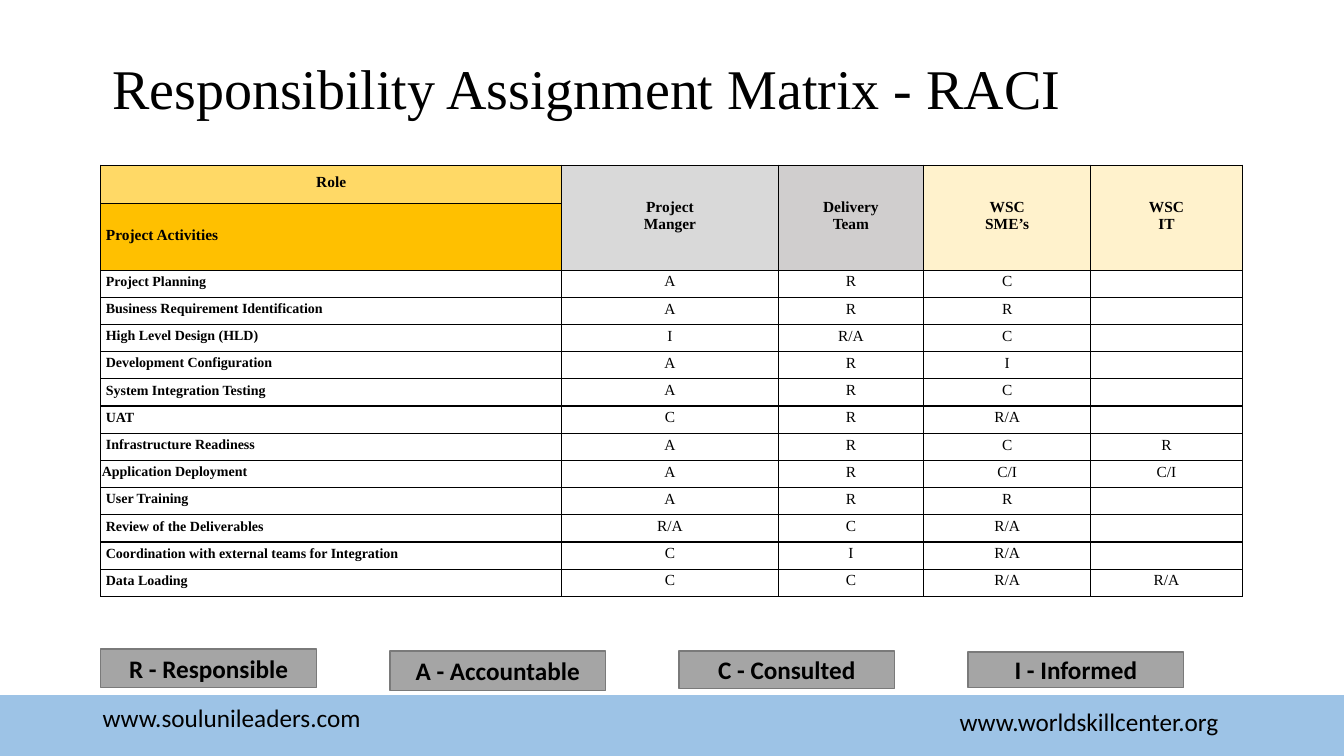
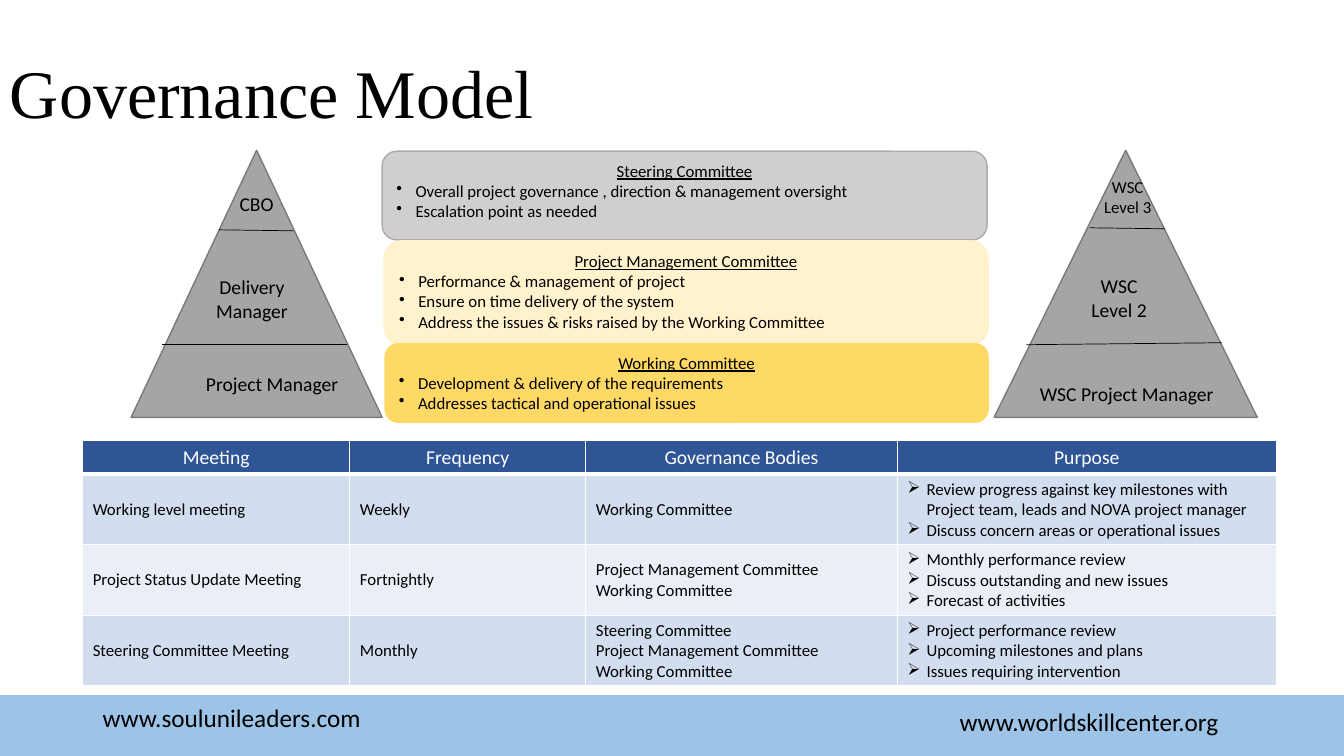
from dataclasses import dataclass, replace
from typing import Any, NamedTuple

from lxml.etree import SubElement
from pptx import Presentation
from pptx.dml.color import RGBColor
from pptx.enum.shapes import MSO_CONNECTOR as Connector, MSO_SHAPE as Preset
from pptx.enum.text import MSO_ANCHOR as Anchor, PP_ALIGN as Align
from pptx.oxml.ns import qn
from pptx.util import Inches, Pt

BLACK = RGBColor(0x00, 0x00, 0x00)
WHITE = RGBColor(0xFF, 0xFF, 0xFF)
BAND_BLUE = RGBColor(0x9D, 0xC3, 0xE6)
HEADER_BLUE = RGBColor(0x2F, 0x55, 0x97)
ROW_BLUE = RGBColor(0xD2, 0xDE, 0xEF)
ROW_PALE = RGBColor(0xEA, 0xEF, 0xF7)
GRAY = RGBColor(0xA5, 0xA5, 0xA5)
GRAY_LINE = RGBColor(0x7A, 0x7A, 0x7A)
SILVER = RGBColor(0xD9, 0xD9, 0xD9)
WARM_GRAY = RGBColor(0xD0, 0xCE, 0xCE)
WARM_GRAY_LINE = RGBColor(0xAF, 0xAB, 0xAB)
CREAM = RGBColor(0xFF, 0xF2, 0xCC)
YELLOW = RGBColor(0xFF, 0xD9, 0x66)
AMBER = RGBColor(0xFF, 0xC0, 0x00)

SANS = "Calibri"
SERIF = "Times New Roman"
BULLET_INDENT = Inches(0.19)
TABLE_MARGINS = {"margin_left": 0.01, "margin_top": 0.01, "margin_right": 0.01, "margin_bottom": 0.05}


class Box(NamedTuple):
    left: float
    top: float
    width: float
    height: float

    def lengths(self) -> list[int]:
        return [Inches(value) for value in self]


@dataclass(frozen=True)
class TextStyle:
    size: float
    name: str = SANS
    color: RGBColor = BLACK
    bold: bool = False
    underline: bool = False
    align: Align = Align.LEFT
    bullet: str = ""
    spacing: float = 1.0

    def font_values(self) -> dict[str, Any]:
        return {"size": Pt(self.size), "name": self.name, "bold": self.bold, "underline": self.underline}


class Label(NamedTuple):
    box: Box
    lines: tuple[str, ...]
    size: float = 14


class Committee(NamedTuple):
    box: Box
    name: str
    duties: tuple[str, ...]
    fill: RGBColor
    line: RGBColor


class Divider(NamedTuple):
    x1: float
    y1: float
    x2: float
    y2: float


class Pyramid(NamedTuple):
    box: Box
    labels: tuple[Label, ...]
    dividers: tuple[Divider, ...]


FOOTER_STYLE = TextStyle(18)
LEGEND_STYLE = TextStyle(18, bold=True, align=Align.CENTER)
RACI_HEADER = TextStyle(11, SERIF, bold=True, align=Align.CENTER)
RACI_CODE = replace(RACI_HEADER, bold=False)
RACI_ACTIVITY = TextStyle(10, SERIF, bold=True)
BODY = TextStyle(12)
COMMITTEE_NAME = replace(BODY, underline=True, align=Align.CENTER)
MEETING_HEADER = TextStyle(14, color=WHITE, align=Align.CENTER)

FOOTERS = [
    Label(Box(0.92, 6.92, 3, 0.4), ("www.soulunileaders.com",)),
    Label(Box(9.42, 6.96, 3, 0.4), ("www.worldskillcenter.org",)),
]

ROLES = [
    (("Project", "Manger"), SILVER),
    (("Delivery", "Team"), WARM_GRAY),
    (("WSC", "SME’s"), CREAM),
    (("WSC", "IT"), CREAM),
]
ACTIVITIES = [
    ("Project Planning", "A", "R", "C", ""),
    ("Business Requirement Identification", "A", "R", "R", ""),
    ("High Level Design (HLD)", "I", "R/A", "C", ""),
    ("Development Configuration", "A", "R", "I", ""),
    ("System Integration Testing", "A", "R", "C", ""),
    ("UAT", "C", "R", "R/A", ""),
    ("Infrastructure Readiness", "A", "R", "C", "R"),
    ("Application Deployment", "A", "R", "C/I", "C/I"),
    ("User Training", "A", "R", "R", ""),
    ("Review of the Deliverables", "R/A", "C", "R/A", ""),
    ("Coordination with external teams for Integration", "C", "I", "R/A", ""),
    ("Data Loading", "C", "C", "R/A", "R/A"),
]
UNINDENTED_ACTIVITY = "Application Deployment"
LEGEND = [
    ("R - Responsible", 6.44, 0.38),
    ("A - Accountable", 6.46, 0.39),
    ("C - Consulted", 6.46, 0.37),
    ("I - Informed", 6.47, 0.35),
]

COMMITTEES = [
    Committee(Box(3.79, 1.5, 6, 0.88), "Steering Committee",
              ("Overall project governance , direction & management oversight",
               "Escalation point as needed"), WARM_GRAY, WARM_GRAY_LINE),
    Committee(Box(3.81, 2.39, 5.99, 1.03), "Project Management Committee",
              ("Performance & management of project", "Ensure on time delivery of the system",
               "Address the issues & risks raised by the Working Committee"), CREAM, CREAM),
    Committee(Box(3.82, 3.41, 5.98, 0.78), "Working Committee",
              ("Development & delivery of the requirements",
               "Addresses tactical and operational issues"), YELLOW, YELLOW),
]
PYRAMIDS = [
    Pyramid(Box(1.3, 1.49, 2.49, 2.65),
            (Label(Box(1.75, 3.64, 1.9, 0.34), ("Project Manager",)),
             Label(Box(1.55, 2.68, 1.9, 0.57), ("Delivery", "Manager")),
             Label(Box(2.04, 1.86, 1.01, 0.34), ("CBO",))),
            (Divider(2.17, 2.28, 2.91, 2.29), Divider(1.61, 3.42, 3.44, 3.42))),
    Pyramid(Box(9.86, 1.49, 2.61, 2.65),
            (Label(Box(10.15, 3.74, 2.05, 0.34), ("WSC Project Manager",)),
             Label(Box(10.15, 2.67, 1.9, 0.57), ("WSC", "Level 2")),
             Label(Box(10.36, 1.7, 1.65, 0.5), ("WSC", "Level 3"), 12)),
            (Divider(10.81, 2.26, 11.55, 2.27), Divider(10.18, 3.42, 12.12, 3.4))),
]
MEETING_COLUMNS = ("Meeting", "Frequency", "Governance Bodies", "Purpose")
MEETINGS = [
    (("Working level meeting",), ("Weekly",), ("Working Committee",),
     ("Review progress against key milestones with Project team, leads and NOVA project manager",
      "Discuss concern areas or operational issues")),
    (("Project Status Update Meeting",), ("Fortnightly",),
     ("Project Management Committee", "Working Committee"),
     ("Monthly performance review", "Discuss outstanding and new issues", "Forecast of activities")),
    (("Steering Committee Meeting",), ("Monthly",),
     ("Steering Committee", "Project Management Committee", "Working Committee"),
     ("Project performance review", "Upcoming milestones and plans", "Issues requiring intervention")),
]


def set_values(target: Any, values: dict[str, Any]) -> None:
    for name, value in values.items():
        setattr(target, name, value)


def add_bullet(paragraph: Any, character: str) -> None:
    properties = paragraph._p.get_or_add_pPr()
    properties.set("marL", str(BULLET_INDENT))
    properties.set("indent", str(-BULLET_INDENT))
    SubElement(properties, qn("a:buChar"), char=character)


def write_lines(frame: Any, lines: list[tuple[str, TextStyle]]) -> None:
    for index, (text, style) in enumerate(lines):
        paragraph = frame.add_paragraph() if index else frame.paragraphs[0]
        set_values(paragraph, {"alignment": style.align, "line_spacing": style.spacing})
        if style.bullet:
            add_bullet(paragraph, style.bullet)
        if text:
            run = paragraph.add_run()
            run.text = text
            set_values(run.font, style.font_values())
            run.font.color.rgb = style.color
        else:
            SubElement(paragraph._p, qn("a:endParaRPr"), sz=str(style.size * 100))


def add_text(slide: Any, box: Box, lines: tuple[str, ...], style: TextStyle, anchor: Anchor = Anchor.TOP) -> None:
    frame = slide.shapes.add_textbox(*box.lengths()).text_frame
    set_values(frame, {"word_wrap": True, "vertical_anchor": anchor})
    write_lines(frame, [(text, style) for text in lines])


def add_panel(slide: Any, preset: Preset, box: Box, fill: RGBColor, line: RGBColor) -> Any:
    shape = slide.shapes.add_shape(preset, *box.lengths())
    shape.shadow.inherit = False
    shape.fill.solid()
    shape.fill.fore_color.rgb = fill
    shape.line.color.rgb = line
    shape.line.width = Pt(1)
    return shape


def add_divider(slide: Any, divider: Divider) -> None:
    connector = slide.shapes.add_connector(Connector.STRAIGHT, *[Inches(value) for value in divider])
    connector.line.color.rgb = BLACK
    connector.line.width = Pt(0.5)
    SubElement(connector._element.spPr, qn("a:effectLst"))


def add_grid(slide: Any, left: float, top: float, widths: list[float], heights: list[float]) -> Any:
    """Add a plain table with the given column widths and row heights."""
    box = Box(left, top, sum(widths), sum(heights))
    table = slide.shapes.add_table(len(heights), len(widths), *box.lengths()).table
    set_values(table, {"first_row": False, "horz_banding": False})
    for column, width in zip(table.columns, widths):
        column.width = Inches(width)
    for row, height in zip(table.rows, heights):
        row.height = Inches(height)
    return table


def format_cell(cell: Any, border: RGBColor, fill: RGBColor | None = None, top: int = 1, bottom: int = 1) -> None:
    properties = cell._tc.get_or_add_tcPr()
    for side, width in {"L": 1, "R": 1, "T": top, "B": bottom}.items():
        edge = SubElement(properties, qn(f"a:ln{side}"), w=str(Pt(width)))
        SubElement(SubElement(edge, qn("a:solidFill")), qn("a:srgbClr"), val=str(border))
    if fill is None:
        cell.fill.background()
    else:
        cell.fill.solid()
        cell.fill.fore_color.rgb = fill


def new_slide(presentation: Any, title: str, box: Box, style: TextStyle) -> Any:
    """Add a slide with the shared footer band and a title."""
    slide = presentation.slides.add_slide(presentation.slide_layouts[6])
    add_panel(slide, Preset.RECTANGLE, Box(-0.01, 6.9, 13.34, 0.6), BAND_BLUE, BAND_BLUE)
    for footer in FOOTERS:
        add_text(slide, footer.box, footer.lines, FOOTER_STYLE, Anchor.MIDDLE)
    add_text(slide, box, (title,), replace(style, name=SERIF, spacing=0.9), Anchor.BOTTOM)
    return slide


def add_raci_table(slide: Any) -> None:
    table = add_grid(slide, 1, 1.64, [4.57, 2.15, 1.44, 1.66, 1.5], [0.38, 0.66] + [0.27] * len(ACTIVITIES))
    role_cells = [(lines, RACI_HEADER, fill) for lines, fill in ROLES]
    rows = [
        [(("Role",), RACI_HEADER, YELLOW)] + role_cells,
        [(("Project Activities",), replace(RACI_HEADER, align=Align.LEFT), AMBER)]
        + [((), RACI_HEADER, fill) for _, fill in ROLES],
    ]
    for activity, *codes in ACTIVITIES:
        rows.append([((activity,), RACI_ACTIVITY, None)] + [((code,), RACI_CODE, None) for code in codes])
    for row_index, row in enumerate(rows):
        for column_index, (lines, style, fill) in enumerate(row):
            cell = table.cell(row_index, column_index)
            set_values(cell, {name: Inches(value) for name, value in TABLE_MARGINS.items()})
            cell.vertical_anchor = Anchor.MIDDLE
            if style.align == Align.LEFT and UNINDENTED_ACTIVITY not in lines:
                cell.margin_left = Inches(0.05)
            format_cell(cell, BLACK, fill)
            write_lines(cell.text_frame, [(text, style) for text in lines])
    for column_index in range(1, len(ROLES) + 1):
        table.cell(0, column_index).merge(table.cell(1, column_index))


def add_meeting_table(slide: Any) -> None:
    table = add_grid(slide, 0.82, 4.37, [2.65, 2.34, 3.09, 3.76], [0.33] + [0.7] * len(MEETINGS))
    for column_index, heading in enumerate(MEETING_COLUMNS):
        cell = table.cell(0, column_index)
        format_cell(cell, WHITE, HEADER_BLUE, bottom=3)
        write_lines(cell.text_frame, [(heading, MEETING_HEADER)])
        is_purpose = heading == "Purpose"
        style = replace(BODY, bullet="➢" if is_purpose else "")
        for row_index, meeting in enumerate(MEETINGS, 1):
            cell = table.cell(row_index, column_index)
            cell.vertical_anchor = Anchor.TOP if is_purpose else Anchor.MIDDLE
            format_cell(cell, WHITE, ROW_BLUE if row_index % 2 else ROW_PALE, top=3 if row_index == 1 else 1)
            write_lines(cell.text_frame, [(text, style) for text in meeting[column_index]])


def build_raci_slide(presentation: Any) -> None:
    slide = new_slide(presentation, "Responsibility Assignment Matrix - RACI",
                      Box(0.01, 0.35, 11.61, 0.91), TextStyle(40, align=Align.CENTER))
    add_raci_table(slide)
    for index, (text, top, height) in enumerate(LEGEND):
        box = Box(1 + index * 2.867, top, 2.14, height)
        shape = add_panel(slide, Preset.RECTANGLE, box, GRAY, GRAY_LINE)
        shape.text_frame.vertical_anchor = Anchor.MIDDLE
        write_lines(shape.text_frame, [(text, LEGEND_STYLE)])


def build_governance_slide(presentation: Any) -> None:
    slide = new_slide(presentation, "Governance Model", Box(0, 0.53, 13.33, 0.84), TextStyle(48.6))
    for committee in COMMITTEES:
        shape = add_panel(slide, Preset.ROUNDED_RECTANGLE, committee.box, committee.fill, committee.line)
        set_values(shape.text_frame, {"word_wrap": True, "vertical_anchor": Anchor.TOP})
        duties = [(duty, replace(BODY, bullet="•")) for duty in committee.duties]
        write_lines(shape.text_frame, [(committee.name, COMMITTEE_NAME)] + duties)
    add_meeting_table(slide)
    for pyramid in PYRAMIDS:
        add_panel(slide, Preset.ISOSCELES_TRIANGLE, pyramid.box, GRAY, GRAY_LINE)
        for label in pyramid.labels:
            add_text(slide, label.box, label.lines, TextStyle(label.size, align=Align.CENTER))
        for divider in pyramid.dividers:
            add_divider(slide, divider)


def main() -> None:
    presentation = Presentation()
    set_values(presentation, {"slide_width": Inches(13.33), "slide_height": Inches(7.5)})
    build_raci_slide(presentation)
    build_governance_slide(presentation)
    presentation.save("out.pptx")


if __name__ == "__main__":
    main()
